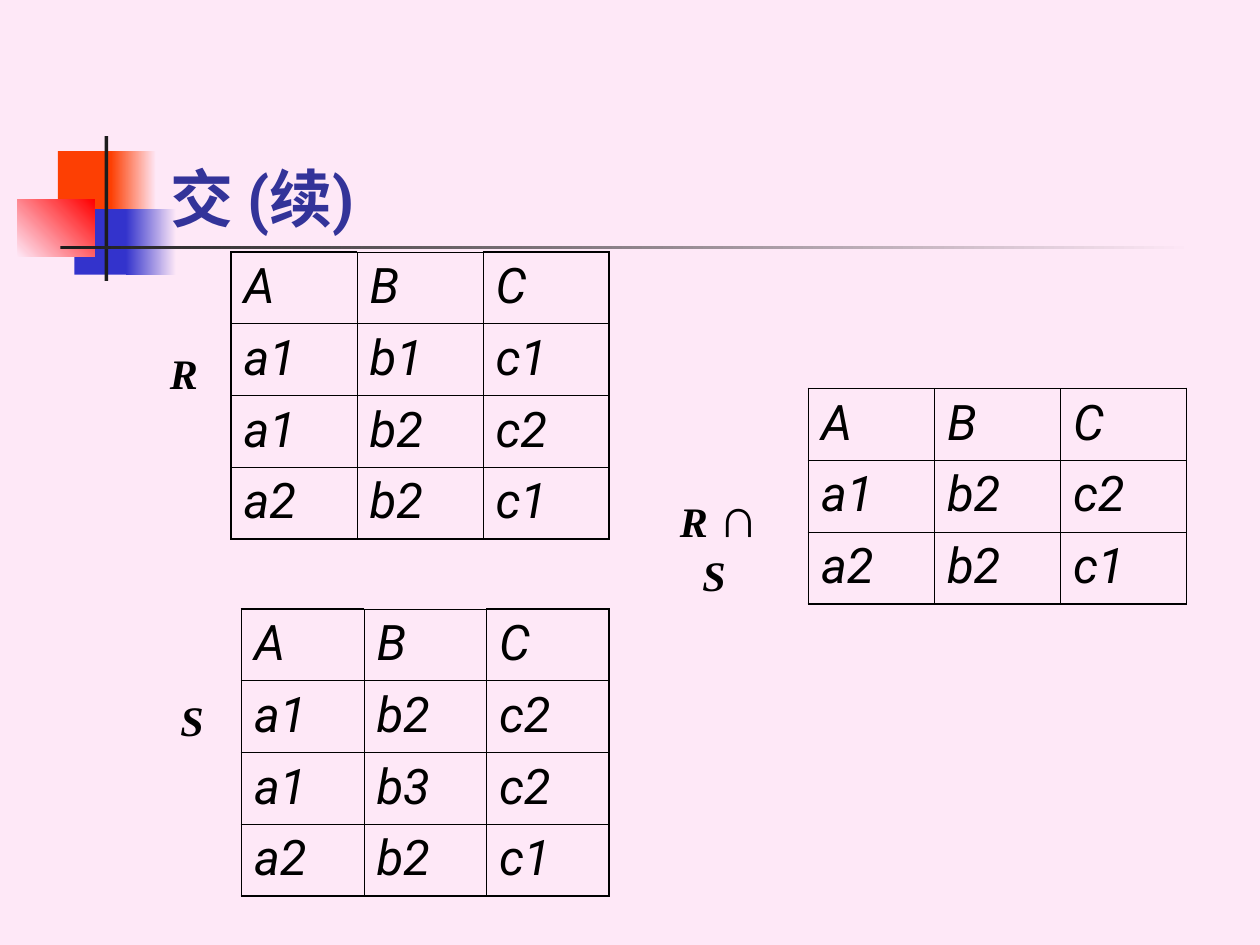
from lxml import etree
from pptx import Presentation
from pptx.dml.color import RGBColor
from pptx.enum.shapes import MSO_SHAPE
from pptx.enum.text import MSO_ANCHOR, MSO_AUTO_SIZE, PP_ALIGN
from pptx.oxml.ns import qn
from pptx.util import Inches, Pt

RECT = MSO_SHAPE.RECTANGLE
MIDDLE, BOTTOM = MSO_ANCHOR.MIDDLE, MSO_ANCHOR.BOTTOM
LEFT, CENTER = PP_ALIGN.LEFT, PP_ALIGN.CENTER
NO_FIT = MSO_AUTO_SIZE.NONE

GRID = Inches(1) / 12  # the slide is 120 columns by 90 rows
ROW_HEIGHT = 6.84
THICK, THIN = 1.08, 0.45
PAPER, INK, BLACK = "FEE8F7", "1C1C1C", "000000"
ORANGE, BLUE, RED, NAVY = "FD3F03", "3333CC", "FF0000", "333399"
SANS, SERIF = "Roboto", "Times New Roman"


def color(hex_value):
    return RGBColor.from_string(hex_value)


def grid(*lengths):
    return [round(length * GRID) for length in lengths]


def write(paragraph, text, size, font=SANS, ink=BLACK, bold=False, italic=False, align=LEFT):
    """Append one formatted run to the paragraph."""
    paragraph.alignment = align
    run = paragraph.add_run()
    run.text = text
    run.font.size, run.font.name = Pt(size), font
    run.font.bold, run.font.italic = bold, italic
    run.font.color.rgb = color(ink)


def add_emblem(slide, left, top, width, height):
    """Draw the squares and bars on a mesh of 934 by 115 inside the box."""
    column, row = width / 934, height / 115
    parts = [
        (32, 12, 48, 52, (ORANGE,), 0),
        (74, 12, 36, 52, (ORANGE, PAPER), 0),
        (45, 58, 46, 52, (BLUE,), 0),
        (86, 58, 40, 52, (BLUE, PAPER), 0),
        (0, 50, 61, 46, (PAPER, RED), 45),
        (69, 0, 3, 115, (INK,), 0),
        (34, 87, 900, 3, (INK, PAPER), 0),
    ]
    for x, y, w, h, tones, angle in parts:
        block = slide.shapes.add_shape(
            RECT, *grid(left + x * column, top + y * row, w * column, h * row))
        block.shadow.inherit = False
        block.line.fill.background()
        if len(tones) == 1:
            block.fill.solid()
            block.fill.fore_color.rgb = color(tones[0])
            continue
        block.fill.gradient()
        block.fill.gradient_angle = angle
        for stop, tone in zip(block.fill.gradient_stops, tones):
            stop.color.rgb = color(tone)


def place_title(slide, text, *box):
    title = slide.shapes.title
    slide.shapes._spTree.append(title._element)  # in front of the emblem
    title.left, title.top, title.width, title.height = grid(*box)
    frame = title.text_frame
    frame.auto_size, frame.vertical_anchor = NO_FIT, BOTTOM
    write(frame.paragraphs[0], text, 36, ink=NAVY, bold=True)


def add_border(cell, side, points):
    properties = cell._tc.get_or_add_tcPr()
    line = etree.SubElement(properties, qn(f"a:ln{side}"), w=str(Pt(points)))
    fill = etree.SubElement(line, qn("a:solidFill"))
    etree.SubElement(fill, qn("a:srgbClr"), val=BLACK)


def add_relation(slide, tuples, left, top, width):
    """Add a table of the tuples under the attributes A, B and C."""
    rows = [line.split() for line in ("A B C", *tuples)]
    last_row, last_column = len(rows) - 1, len(rows[0]) - 1
    table = slide.shapes.add_table(
        len(rows), len(rows[0]),
        *grid(left, top, width, ROW_HEIGHT * len(rows))).table
    table.first_row = table.horz_banding = False
    for r, values in enumerate(rows):
        for c, value in enumerate(values):
            cell = table.cell(r, c)
            outer = {
                "L": c == 0,
                "R": c == last_column,
                "T": r == 0 and c in (0, last_column),
                "B": r == last_row,
            }
            for side, is_outer in outer.items():
                add_border(cell, side, THICK if is_outer else THIN)
            cell.fill.background()
            write(cell.text_frame.paragraphs[0], value, 28, italic=True)


def add_label(slide, symbols, *box):
    """Name a relation; the operator is larger and upright."""
    frame = slide.shapes.add_textbox(*grid(*box)).text_frame
    frame.word_wrap, frame.vertical_anchor = False, MIDDLE
    for symbol in symbols:
        operator = symbol == "∩"
        write(frame.paragraphs[0], symbol, 32 if operator else 24, font=SERIF,
              bold=True, italic=not operator, align=CENTER)


def main():
    deck = Presentation()
    deck.slide_width, deck.slide_height = grid(120, 90)
    slide = deck.slides.add_slide(deck.slide_layouts[5])
    slide.background.fill.solid()
    slide.background.fill.fore_color.rgb = color(PAPER)

    add_emblem(slide, 1.68, 12.96, 112.08, 13.8)
    place_title(slide, "交 (续)", 15, 8, 102.2, 15)
    add_relation(slide, ["a1 b1 c1", "a1 b2 c2", "a2 b2 c1"], 22, 24, 36)
    add_relation(slide, ["a1 b2 c2", "a2 b2 c1"], 77, 37, 36)
    add_relation(slide, ["a1 b2 c2", "a1 b3 c2", "a2 b2 c1"], 23, 58, 35)
    add_label(slide, ["R"], 15, 30, 4, 11)
    add_label(slide, ["S"], 16, 63, 4, 11)
    add_label(slide, ["R ", "∩", " S "], 63, 46, 11, 11)
    deck.save("out.pptx")


if __name__ == "__main__":
    main()
